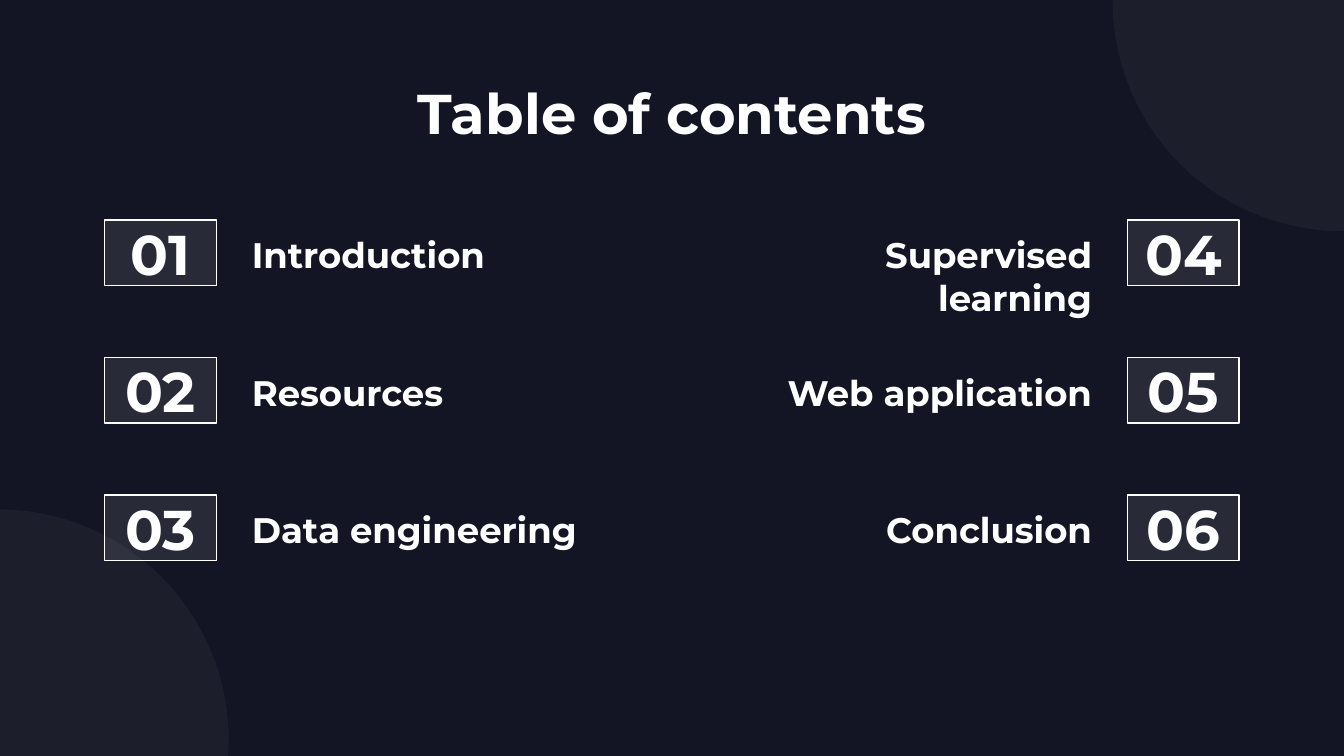
from lxml import etree
from pptx import Presentation
from pptx.dml.color import RGBColor
from pptx.enum import shapes, text
from pptx.oxml import ns
from pptx.util import Cm, Pt

NIGHT = RGBColor(0x13, 0x15, 0x24)
WHITE = RGBColor(0xFF, 0xFF, 0xFF)

SLIDE_WIDTH, SLIDE_HEIGHT = 25.4, 14.29
NUMBER_WIDTH, ROW_HEIGHT, ROW_PITCH = 2.11, 1.24, 2.6
LABEL_WIDTH, LABEL_GAP = 7.45, 0.42
INSET = Cm(0.25)

LEFT, CENTER, RIGHT = (
    text.PP_ALIGN.LEFT, text.PP_ALIGN.CENTER, text.PP_ALIGN.RIGHT)
HEADING = {"name": "Montserrat", "size": Pt(30), "bold": True}
LABEL = {**HEADING, "size": Pt(19)}
FRAME = {
    "word_wrap": True,
    "auto_size": text.MSO_AUTO_SIZE.NONE,
    "margin_left": INSET, "margin_top": INSET,
    "margin_right": INSET, "margin_bottom": INSET,
}


def write(holder, words, font_format, align, anchor=text.MSO_ANCHOR.TOP):
    frame = holder.text_frame
    for name, value in {**FRAME, "vertical_anchor": anchor}.items():
        setattr(frame, name, value)
    paragraph = frame.paragraphs[0]
    paragraph.alignment = align
    run = paragraph.add_run()
    run.text = words
    for name, value in font_format.items():
        setattr(run.font, name, value)
    run.font.color.rgb = WHITE


def add_text(slide, box, words, font_format, align):
    holder = slide.shapes.add_textbox(*map(Cm, box))
    write(holder, words, font_format, align)


def add_veil(slide, kind, box, opacity):
    """Add a white preset shape of the given opacity in percent."""
    veil = slide.shapes.add_shape(kind, *map(Cm, box))
    veil.shadow.inherit = False
    veil.fill.solid()
    veil.fill.fore_color.rgb = WHITE
    color = veil.fill._xPr.find(".//" + ns.qn("a:srgbClr"))
    etree.SubElement(color, ns.qn("a:alpha"), val=str(opacity * 1000))
    veil.line.fill.background()
    return veil


def add_corner_circles(slide, diameter=8.69):
    for left, top in ((21.03, -4.32), (-4.37, 9.63)):
        add_veil(slide, shapes.MSO_SHAPE.OVAL,
                 (left, top, diameter, diameter), 4)


def add_number(slide, box, number):
    tile = add_veil(slide, shapes.MSO_SHAPE.RECTANGLE, box, 9)
    tile.line.color.rgb = WHITE
    tile.line.width = Pt(0.75)
    write(tile, f"{number:02d}", HEADING, CENTER, text.MSO_ANCHOR.MIDDLE)


def add_chapters(slide, box, chapters, first_number, mirrored):
    """Stack numbered chapters; mirrored puts the numbers on the right."""
    left, top, width = box
    number_left, label_left = left, left + NUMBER_WIDTH + LABEL_GAP
    if mirrored:
        number_left, label_left = left + width - NUMBER_WIDTH, left
    for row, chapter in enumerate(chapters):
        row_top = top + row * ROW_PITCH
        add_number(slide, (number_left, row_top, NUMBER_WIDTH, ROW_HEIGHT),
                   first_number + row)
        add_text(slide, (label_left, row_top, LABEL_WIDTH, ROW_HEIGHT),
                 chapter, LABEL, RIGHT if mirrored else LEFT)


def add_contents_slide(deck):
    slide = deck.slides.add_slide(deck.slide_layouts[6])
    slide.background.fill.solid()
    slide.background.fill.fore_color.rgb = NIGHT
    add_corner_circles(slide)

    margin, top = 1.98, 4.16
    add_text(slide, (margin, 1.24, SLIDE_WIDTH - 2 * margin, 1.6),
             "Table of contents", HEADING, CENTER)
    column_width = NUMBER_WIDTH + LABEL_GAP + LABEL_WIDTH
    add_chapters(slide, (margin, top, column_width),
                 ("Introduction", "Resources", "Data engineering"),
                 first_number=1, mirrored=False)
    add_chapters(slide,
                 (SLIDE_WIDTH - margin - column_width, top, column_width),
                 ("Supervised learning", "Web application", "Conclusion"),
                 first_number=4, mirrored=True)


def main():
    deck = Presentation()
    deck.slide_width, deck.slide_height = Cm(SLIDE_WIDTH), Cm(SLIDE_HEIGHT)
    add_contents_slide(deck)
    deck.save("out.pptx")


if __name__ == "__main__":
    main()
